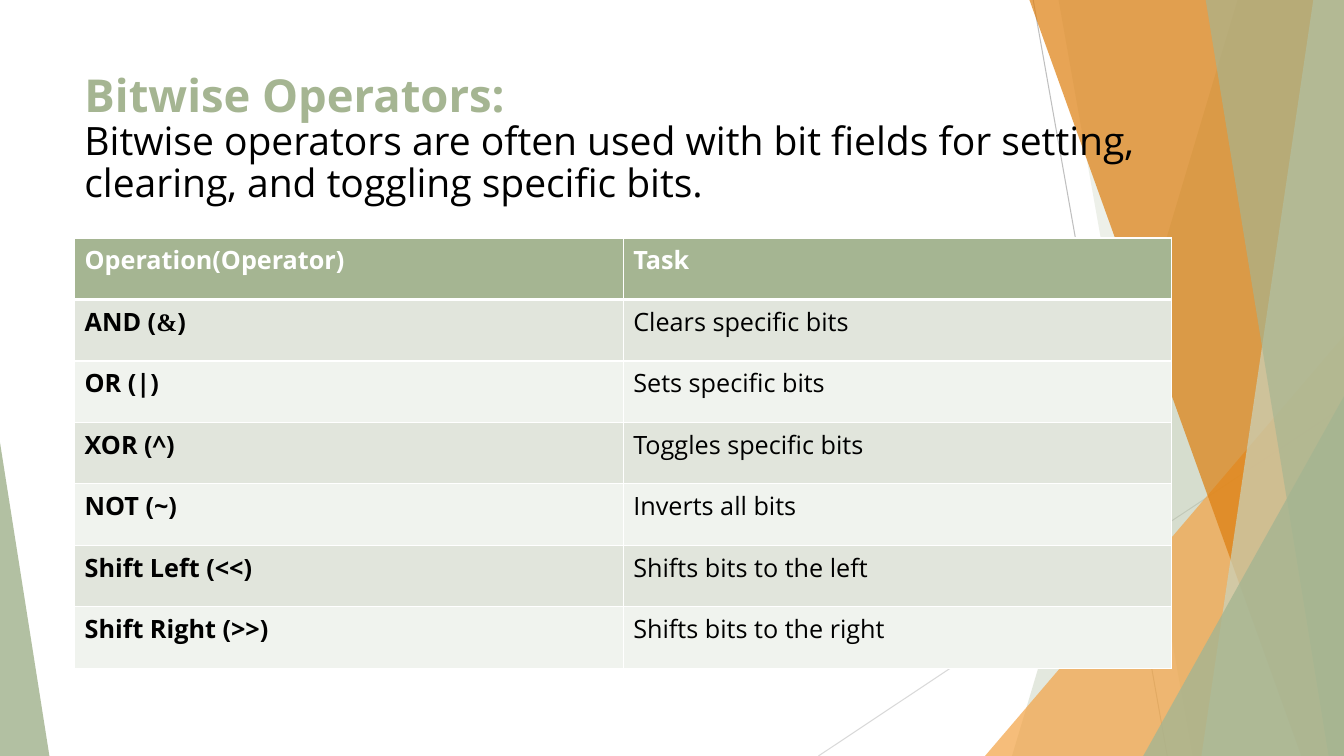
from lxml import etree
from pptx import Presentation
from pptx.dml.color import RGBColor
from pptx.enum.shapes import MSO_CONNECTOR, MSO_SHAPE
from pptx.enum.text import MSO_ANCHOR, PP_ALIGN
from pptx.oxml.ns import qn
from pptx.util import Pt

STRAIGHT = MSO_CONNECTOR.STRAIGHT
TRIANGLE = MSO_SHAPE.ISOSCELES_TRIANGLE
TOP, LEFT = MSO_ANCHOR.TOP, PP_ALIGN.LEFT

WIDTH, HEIGHT = 960, 540
BAND_TOP = -0.72
SAGE, WHITE, BLACK = "A5B592", "FFFFFF", "000000"
ROW_FILLS = ("E1E5DC", "F0F3EE")


def rgb(value):
    return RGBColor.from_string(value)


class SlideBuilder:
    font = "Open Sans"

    def __init__(self, slide):
        self.slide = slide
        self.shapes = slide.shapes

    def line(self, start, end, color):
        connector = self.shapes.add_connector(
            STRAIGHT, *(Pt(v) for v in start + end))
        connector.line.color.rgb = rgb(color)
        connector.line.width = Pt(0.75)
        etree.SubElement(connector._element.spPr, qn("a:effectLst"))

    def paint(self, shape, color, opacity):
        shape.shadow.inherit = False
        shape.line.fill.background()
        shape.fill.solid()
        shape.fill.fore_color.rgb = rgb(color)
        tint = shape._element.spPr.find(qn("a:solidFill"))[0]
        etree.SubElement(tint, qn("a:alpha"), val=str(opacity * 1000))

    def band(self, top_x, bottom_x, color, opacity):
        """A band from a slanted left edge to the right side of the slide."""
        outline = self.shapes.build_freeform(Pt(top_x), Pt(BAND_TOP))
        corners = [(WIDTH, BAND_TOP), (WIDTH, HEIGHT), (bottom_x, HEIGHT)]
        outline.add_line_segments([(Pt(x), Pt(y)) for x, y in corners])
        self.paint(outline.convert_to_shape(), color, opacity)

    def triangle(self, left, top, width, apex, color, opacity):
        """A triangle that stands on the bottom of the slide."""
        shape = self.shapes.add_shape(
            TRIANGLE, Pt(left), Pt(top), Pt(width), Pt(HEIGHT - top))
        shape.adjustments[0] = apex
        self.paint(shape, color, opacity)

    def style(self, paragraph, size, color, bold):
        paragraph.alignment = LEFT
        for run in paragraph.runs:
            font = run.font
            font.name = "Times New Roman" if run.text == "&" else self.font
            font.size, font.bold = Pt(size), bold
            font.color.rgb = rgb(color)

    def heading(self, left, top, width, height, lines):
        frame = self.shapes.add_textbox(
            Pt(left), Pt(top), Pt(width), Pt(height)).text_frame
        frame.word_wrap = True
        frame.vertical_anchor = TOP
        frame.text = "\n".join(text for text, *_ in lines)
        for paragraph, (_, *look) in zip(frame.paragraphs, lines):
            paragraph.line_spacing = 0.9
            self.style(paragraph, *look)

    def borders(self, cell, bottom):
        properties = cell._tc.get_or_add_tcPr()
        sides = (("L", 1), ("R", 1), ("T", 1), ("B", bottom))
        for index, (side, width) in enumerate(sides):
            edge = etree.Element(qn("a:ln" + side), w=str(Pt(width)))
            fill = etree.SubElement(edge, qn("a:solidFill"))
            etree.SubElement(fill, qn("a:srgbClr"), val=WHITE)
            properties.insert(index, edge)

    def table(self, left, top, col_width, row_height, rows):
        columns = len(rows[0])
        table = self.shapes.add_table(
            len(rows), columns, Pt(left), Pt(top),
            Pt(col_width * columns), Pt(row_height * len(rows))).table
        table.horz_banding = False
        for column in table.columns:
            column.width = Pt(col_width)
        for r, texts in enumerate(rows):
            table.rows[r].height = Pt(row_height)
            header = r == 0
            for c, text in enumerate(texts):
                cell = table.cell(r, c)
                cell.fill.solid()
                cell.fill.fore_color.rgb = rgb(
                    SAGE if header else ROW_FILLS[(r - 1) % 2])
                self.borders(cell, 3 if header else 1)
                paragraph = cell.text_frame.paragraphs[0]
                # The ampersand has a run of its own
                for piece in text.replace("&", "\n&\n").split("\n"):
                    paragraph.add_run().text = piece
                self.style(paragraph, 18, WHITE if header else BLACK,
                           header or c == 0)


def main():
    presentation = Presentation()
    presentation.slide_width, presentation.slide_height = Pt(WIDTH), Pt(HEIGHT)
    page = SlideBuilder(
        presentation.slides.add_slide(presentation.slide_layouts[6]))

    # Background facets
    page.line((738, 0), (833.8, HEIGHT), "BFBFBF")
    page.line((WIDTH, 290.2), (584.6, HEIGHT), "D9D9D9")
    page.band(884.2, 722.9, SAGE, 30)
    page.band(756, 851.8, SAGE, 20)
    page.triangle(703.6, 239.8, 256.4, 1, "F3A447", 72)
    page.band(735.1, 929.5, "DD7E0E", 70)
    page.band(938.2, 858.2, "C9D3BE", 70)
    page.band(861.1, 949, SAGE, 65)
    page.triangle(816.6, 283, 143.4, 1, SAGE, 80)
    page.triangle(0, 316.1, 35.3, 0, SAGE, 85)

    # Title and introduction
    page.heading(53.3, 48.5, 845.3, 103.7, [
        ("Bitwise Operators:", 32.4, SAGE, True),
        ("Bitwise operators are often used with bit fields for setting, "
         "clearing, and toggling specific bits.", 27.9, BLACK, False),
    ])

    # Operators and their tasks
    page.table(53.3, 170, 391.9, 43.92, [
        ("Operation(Operator)", "Task"),
        ("AND (&)", "Clears specific bits"),
        ("OR (|)", "Sets specific bits"),
        ("XOR (^)", "Toggles specific bits"),
        ("NOT (~)", "Inverts all bits"),
        ("Shift Left (<<)", "Shifts bits to the left"),
        ("Shift Right (>>)", "Shifts bits to the right"),
    ])

    presentation.save("out.pptx")


if __name__ == "__main__":
    main()
